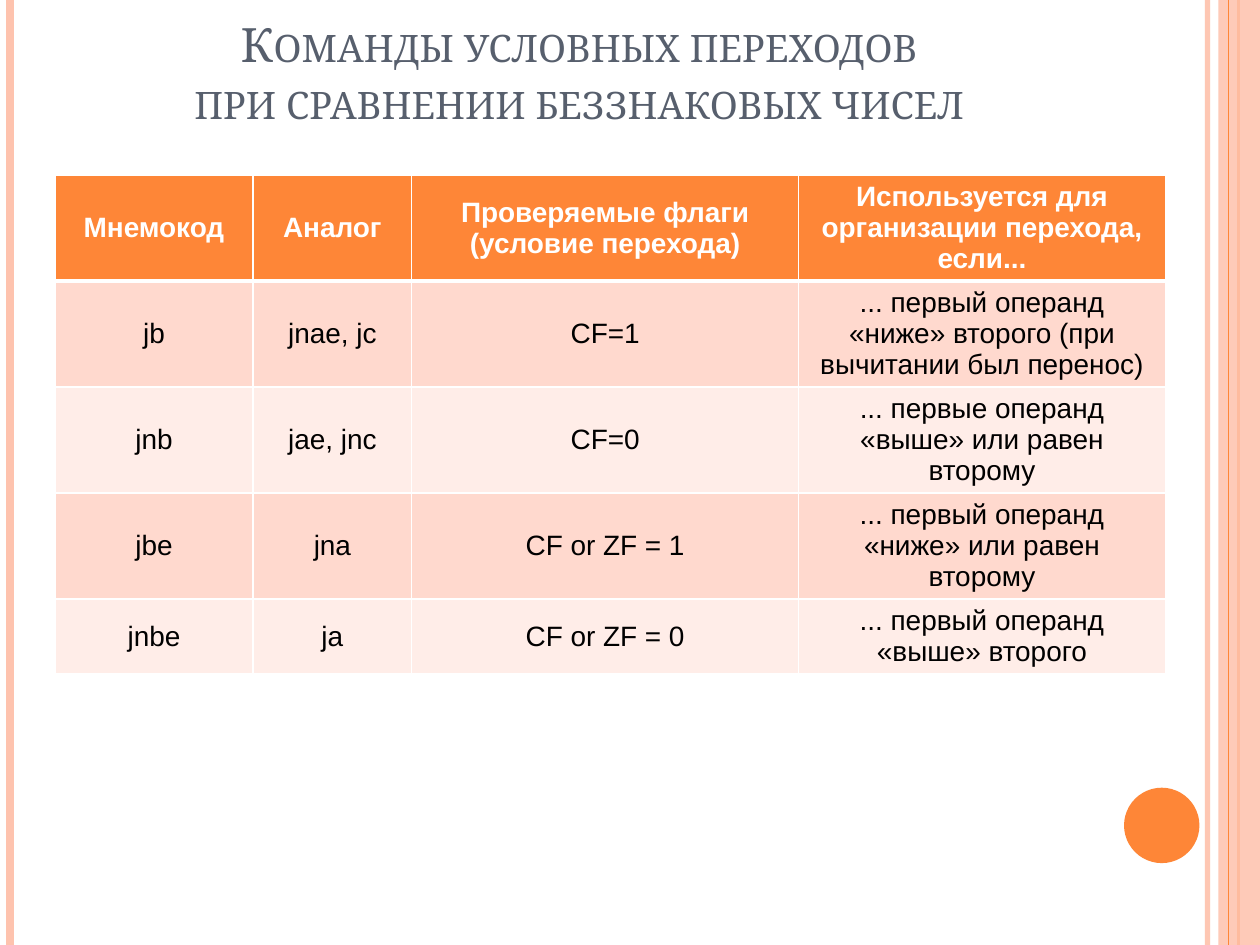
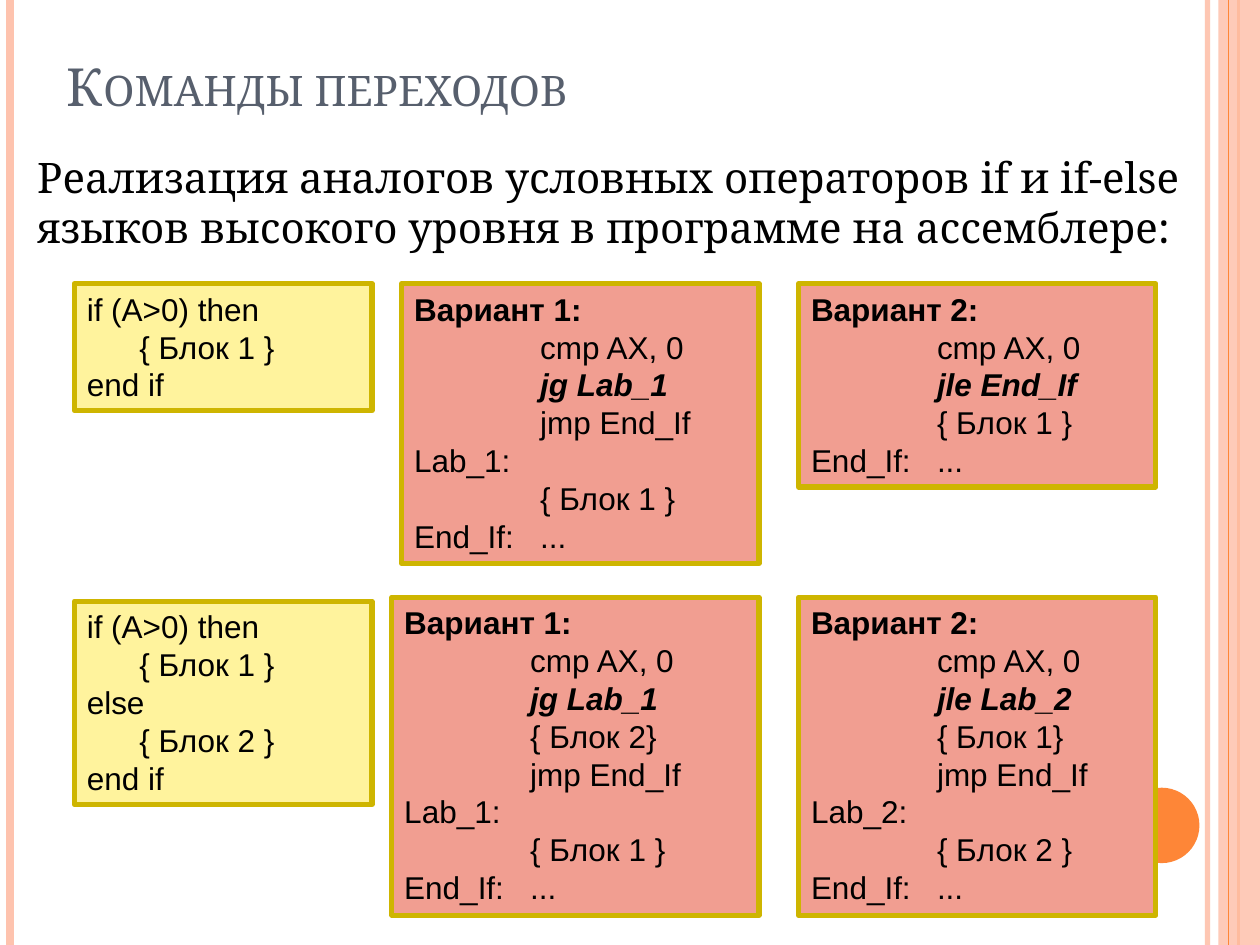
from lxml.etree import SubElement
from pptx import Presentation
from pptx.dml.color import RGBColor
from pptx.enum.shapes import MSO_CONNECTOR as Line, MSO_SHAPE as Shape
from pptx.enum.text import MSO_ANCHOR as Anchor, MSO_AUTO_SIZE as AutoSize, PP_ALIGN as Align
from pptx.oxml.ns import qn
from pptx.util import Cm, Pt

WIDTH, HEIGHT = 25.4, 19.05
WHITE = RGBColor(0xFF, 0xFF, 0xFF)
BLACK = RGBColor(0, 0, 0)
ORANGE = RGBColor(0xFE, 0x86, 0x37)
PEACH = RGBColor(0xFE, 0xC3, 0xAE)
SLATE = RGBColor(0x57, 0x5F, 0x6D)
ROW_DARK = RGBColor(0xFF, 0xD9, 0xCE)
ROW_LIGHT = RGBColor(0xFF, 0xED, 0xE8)
YELLOW = RGBColor(0xFF, 0xF3, 0x9D)
SALMON = RGBColor(0xF1, 0x9E, 0x91)
OLIVE = RGBColor(0xCE, 0xB5, 0x00)
SERIF, SANS = "Noto Serif", "Arial"

FLAGS = [
    ("Мнемокод", "Аналог", "Проверяемые флаги (условие перехода)",
     "Используется для организации перехода, если..."),
    ("jb", "jnae, jc", "CF=1",
     "... первый операнд «ниже» второго (при вычитании был перенос)"),
    ("jnb", "jae, jnc", "CF=0", "... первые операнд «выше» или равен второму"),
    ("jbe", "jna", "CF or ZF = 1", "... первый операнд «ниже» или равен второму"),
    ("jnbe", "ja", "CF or ZF = 0", "... первый операнд «выше» второго"),
]
COLUMNS = (3.99, 3.2, 7.8, 7.39)
ROWS = (2.11, 2.12, 2.12, 2.12, 1.5)


def add_run(paragraph, text, size, font, color, bold=False, italic=False):
    """Append one formatted run."""
    run = paragraph.add_run()
    run.text = text
    run.font.size, run.font.name = Pt(size), font
    run.font.bold, run.font.italic = bold, italic
    run.font.color.rgb = color
    return run


def set_alpha(fill_parent, percent):
    """Make the solid fill under an element partly transparent."""
    color = next(fill_parent.iter(qn("a:srgbClr")))
    SubElement(color, qn("a:alpha")).set("val", str(percent * 1000))


def add_rule(slide, x, color, weight, alpha=100):
    """Draw a full-height vertical line."""
    rule = slide.shapes.add_connector(Line.STRAIGHT, Cm(x), 0, Cm(x), Cm(HEIGHT))
    rule.line.color.rgb, rule.line.width = color, Pt(weight)
    if alpha < 100:
        set_alpha(rule.element.spPr, alpha)
    SubElement(rule.element.spPr, qn("a:effectLst"))


def add_block(slide, kind, box, fill):
    """Add a flat filled shape without outline or shadow."""
    block = slide.shapes.add_shape(kind, *map(Cm, box))
    block.shadow.inherit = False
    block.fill.solid()
    block.fill.fore_color.rgb = fill
    block.line.fill.background()
    return block


def add_side_bands(slide):
    """Draw the striped edges and the page disc."""
    add_rule(slide, 24.34, PEACH, 3, alpha=93)
    add_rule(slide, 0.21, PEACH, 4.5)
    add_rule(slide, 24.97, ORANGE, 1.5)
    band = add_block(slide, Shape.RECTANGLE, (24.56, 0, WIDTH - 24.56, HEIGHT), PEACH)
    set_alpha(band.element.spPr, 87)
    add_rule(slide, 24.77, ORANGE, 0.75)
    add_block(slide, Shape.OVAL, (22.66, 15.88, 1.52, 1.52), ORANGE)


def place_title(slide, box, lines, size, align):
    """Move the title placeholder and fill it with small capitals."""
    title = slide.shapes.title
    title.left, title.top, title.width, title.height = map(Cm, box)
    frame = title.text_frame
    frame.auto_size, frame.vertical_anchor = AutoSize.NONE, Anchor.BOTTOM
    paragraph = frame.paragraphs[0]
    paragraph.alignment = align
    for index, line in enumerate(lines):
        if index:
            paragraph.add_line_break()
        run = add_run(paragraph, line, size, SERIF, SLATE)
        run.font._element.set("cap", "small")


def start_slide(deck, box, lines, size, align):
    """Add a title-only slide with the shared decoration."""
    slide = deck.slides.add_slide(deck.slide_layouts[5])
    add_side_bands(slide)
    place_title(slide, box, lines, size, align)
    return slide


def set_borders(cell, bottom):
    """Give a cell white borders, the lower one of its own weight."""
    properties = cell._tc.get_or_add_tcPr()
    for index, (side, weight) in enumerate(zip("LRTB", (1, 1, 1, bottom))):
        border = properties.makeelement(qn(f"a:ln{side}"), {"w": str(Pt(weight))})
        fill = SubElement(border, qn("a:solidFill"))
        SubElement(fill, qn("a:srgbClr")).set("val", str(WHITE))
        properties.insert(index, border)


def add_flags_table(slide, left, top):
    """Build the table of jump commands and flags."""
    table = slide.shapes.add_table(
        len(ROWS), len(COLUMNS), Cm(left), Cm(top), Cm(sum(COLUMNS)), Cm(sum(ROWS))).table
    for column, width in zip(table.columns, COLUMNS):
        column.width = Cm(width)
    for r, (row, height) in enumerate(zip(table.rows, ROWS)):
        row.height = Cm(height)
        header = r == 0
        fill = ORANGE if header else ROW_DARK if r % 2 else ROW_LIGHT
        for cell, text in zip(row.cells, FLAGS[r]):
            cell.fill.solid()
            cell.fill.fore_color.rgb = fill
            cell.vertical_anchor = Anchor.MIDDLE
            paragraph = cell.text_frame.paragraphs[0]
            paragraph.alignment = Align.CENTER
            add_run(paragraph, text, 16, SANS, WHITE if header else BLACK, bold=header)
            set_borders(cell, bottom=3 if header else 1)


def add_intro(slide, box, text):
    """Add the introductory sentence."""
    intro = slide.shapes.add_textbox(*map(Cm, box)).text_frame
    intro.word_wrap = True
    paragraph = intro.paragraphs[0]
    paragraph.space_before = Pt(6)
    add_run(paragraph, text, 24, SERIF, BLACK)


def add_code_box(slide, left, top, width, fill, line_count):
    """Add an outlined box as tall as its lines and return its paragraphs."""
    box = (left, top, width, 0.77 * line_count + 0.25)
    code = add_block(slide, Shape.RECTANGLE, box, fill)
    code.line.color.rgb, code.line.width = OLIVE, Pt(3)
    frame = code.text_frame
    frame.word_wrap, frame.vertical_anchor = True, Anchor.TOP
    paragraphs = [frame.paragraphs[0]] + [frame.add_paragraph() for _ in range(line_count - 1)]
    for paragraph in paragraphs:
        paragraph.alignment = Align.LEFT
    return paragraphs


def add_statement(slide, left, top, lines):
    """Show a high-level statement with its blocks indented."""
    paragraphs = add_code_box(slide, left, top, 6, YELLOW, len(lines))
    for paragraph, line in zip(paragraphs, lines):
        if line.startswith("{"):
            paragraph._p.get_or_add_pPr().set("marL", str(Cm(1.06)))
        add_run(paragraph, line, 18, SANS, BLACK)


def add_variant(slide, left, top, width, number, jump, rest):
    """Show an assembler variant with its conditional jump stressed."""
    lines = [f"Вариант {number}:", "\tcmp AX, 0", f"\t{jump}", *rest, "End_If:\t..."]
    paragraphs = add_code_box(slide, left, top, width, SALMON, len(lines))
    for index, (paragraph, line) in enumerate(zip(paragraphs, lines)):
        tabs = SubElement(paragraph._p.get_or_add_pPr(), qn("a:tabLst"))
        SubElement(tabs, qn("a:tab"), pos=str(Cm(2.54)), algn="l")
        add_run(paragraph, line, 18, SANS, BLACK, bold=index in (0, 2), italic=index == 2)


def add_flags_slide(deck):
    """Build the slide on jumps after unsigned comparison."""
    slide = start_slide(
        deck, (1.3, 0.33, 20.75, 2.39),
        ("Команды условных переходов", "при сравнении беззнаковых чисел"), 27, Align.CENTER)
    add_flags_table(slide, 1.11, 3.53)


def add_branches_slide(deck):
    """Build the slide on if and if-else in assembler."""
    slide = start_slide(
        deck, (1.09, 0.53, 22.86, 1.96), ("Команды переходов",), 30, Align.LEFT)
    add_intro(slide, (0.5, 2.92, 24.6, 2.39),
              "Реализация аналогов условных операторов if и if-else "
              "языков высокого уровня в программе на ассемблере:")
    if_top, else_top = 5.72, 12.04
    statement_left, second_left, second_width = 1.5, 16.1, 7.2
    add_statement(slide, statement_left, if_top, ("if (A>0) then", "{ Блок 1 }", "end if"))
    add_variant(slide, 8.1, if_top, 7.2, 1, "jg Lab_1",
                ("\tjmp End_If", "Lab_1:\t", "\t{ Блок 1 }"))
    add_variant(slide, second_left, if_top, second_width, 2, "jle End_If", ("\t{ Блок 1 }",))
    add_statement(slide, statement_left, else_top + 0.08,
                  ("if (A>0) then", "{ Блок 1 }", "else", "{ Блок 2 }", "end if"))
    add_variant(slide, 7.9, else_top, 7.4, 1, "jg Lab_1",
                ("\t{ Блок 2}", "\tjmp End_If", "Lab_1:\t", "\t{ Блок 1 }"))
    add_variant(slide, second_left, else_top, second_width, 2, "jle Lab_2",
                ("\t{ Блок 1}", "\tjmp End_If", "Lab_2:\t", "\t{ Блок 2 }"))


def main():
    """Create and save the presentation."""
    deck = Presentation()
    deck.slide_width, deck.slide_height = Cm(WIDTH), Cm(HEIGHT)
    add_flags_slide(deck)
    add_branches_slide(deck)
    deck.save("out.pptx")


if __name__ == "__main__":
    main()
